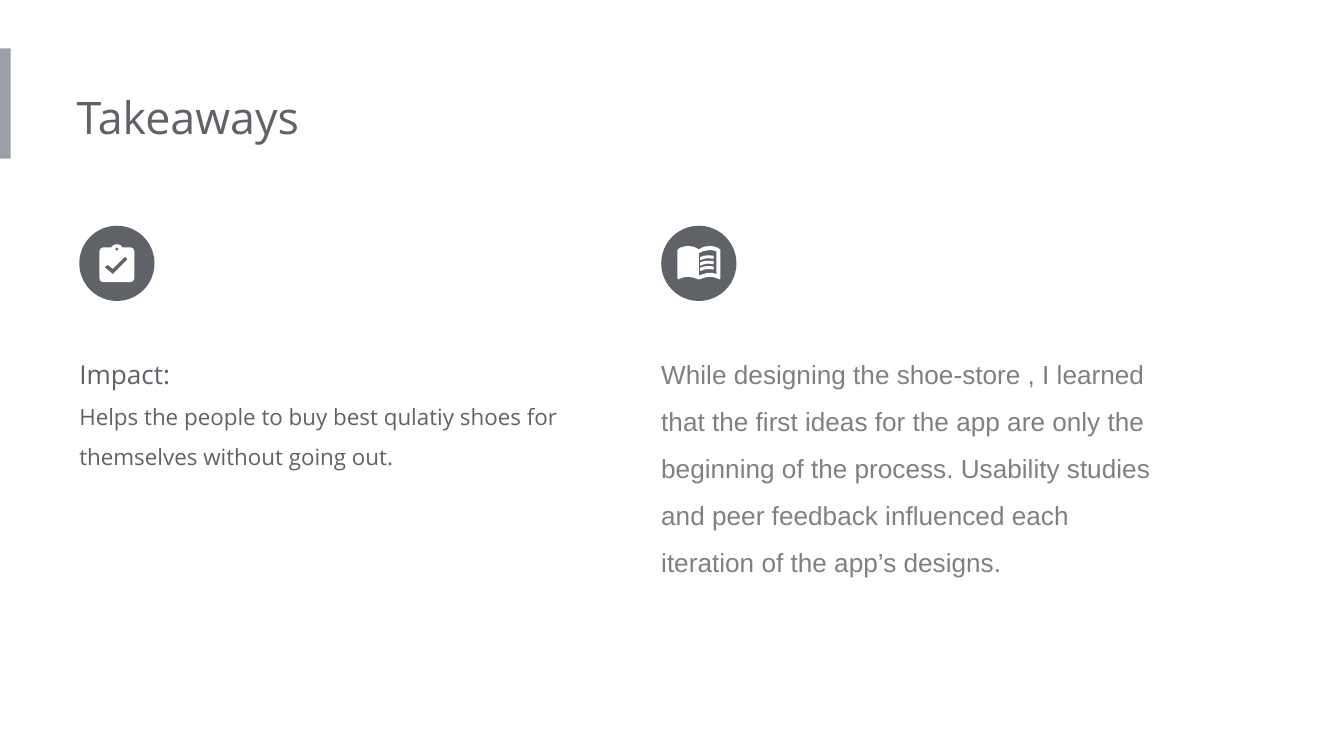
from dataclasses import dataclass

from pptx import Presentation
from pptx.dml.color import RGBColor
from pptx.enum.shapes import MSO_SHAPE
from pptx.enum.text import MSO_ANCHOR, MSO_AUTO_SIZE, PP_ALIGN
from pptx.shapes.autoshape import Shape
from pptx.slide import Slide
from pptx.text.text import TextFrame
from pptx.util import Inches, Pt

WHITE = RGBColor(0xFF, 0xFF, 0xFF)
SLATE = RGBColor(0x5F, 0x63, 0x68)
GRAY = RGBColor(0x80, 0x80, 0x80)
SILVER = RGBColor(0x9A, 0xA0, 0xA6)

SLIDE_WIDTH = 10
SLIDE_HEIGHT = SLIDE_WIDTH * 9 / 16
BADGE_TOP, BADGE_SIZE = 1.68, 0.56
BODY_TOP, BODY_WIDTH = 2.45, 3.77

Contour = list[tuple[float, float]]


@dataclass(frozen=True)
class Line:
    text: str
    size: int
    font: str
    color: RGBColor
    spacing: float = 1.5


@dataclass(frozen=True)
class Takeaway:
    left: float
    height: float
    lines: list[Line]
    icon: list[list[Contour]]


CLIPBOARD: list[Contour] = [
    [(38, 16), (32, 16), (31, 14.7), (29.6, 14), (28, 13.7), (26.4, 14),
     (25, 14.7), (24, 16), (18, 16), (16, 16.8), (15, 18.7), (15, 39.3),
     (16, 41.3), (18, 42), (38, 42), (40, 41.3), (41, 39.3), (41, 18.7),
     (40, 16.8)],
    [(28, 16), (29.4, 17.4), (28, 18.7), (26.6, 17.4)],
    [(25, 36), (19, 31), (21, 29), (25, 32), (34, 23), (36, 25)],
]
BOOK: list[Contour] = [
    [(12, 18), (14, 16.4), (17, 15.4), (20, 15), (24, 15.6), (26, 16.4),
     (28, 17.6), (30, 16.4), (32, 15.6), (36, 15), (39, 15.4), (42, 16.4),
     (44, 17.8), (44, 39), (43.4, 39.9), (42, 39.3), (39, 38.3), (36, 38),
     (32, 38.6), (28, 40), (24, 38.6), (20, 38), (17, 38.3), (14, 39.4),
     (12.7, 39.9), (12, 39)],
    [(28, 20.5), (31, 19), (36, 18), (39, 18.4), (41, 19), (41, 36),
     (38, 35), (35, 35), (31, 36), (28, 37)],
]
PAGE_LINES: list[list[Contour]] = [
    [[(29, y + 1.3), (32, y + 0.3), (35, y), (39, y + 0.3), (39, y + 2.6),
      (35, y + 2.2), (32, y + 2.6), (29, y + 3.7)]]
    for y in (22, 26, 30)
]

TAKEAWAYS = [
    Takeaway(0.59, 1.16, [
        Line("Impact:", 14, "Open Sans", SLATE),
        Line("Helps the people to buy best qulatiy shoes for themselves "
             "without going out.", 12, "Open Sans", SLATE),
    ], [CLIPBOARD]),
    Takeaway(4.92, 1.97, [
        Line("While designing the shoe-store , I learned that the first ideas "
             "for the app are only the beginning of the process. Usability "
             "studies and peer feedback influenced each iteration of the "
             "app’s designs.", 14, "Arial", GRAY),
    ], [BOOK, *PAGE_LINES]),
]


def paint(shape: Shape, color: RGBColor) -> None:
    shape.shadow.inherit = False
    shape.fill.solid()
    shape.fill.fore_color.rgb = color
    shape.line.fill.background()


def add_filled(slide: Slide, preset: MSO_SHAPE, left: float, top: float,
               width: float, height: float, color: RGBColor) -> None:
    paint(slide.shapes.add_shape(preset, Inches(left), Inches(top),
                                 Inches(width), Inches(height)), color)


def add_glyph(slide: Slide, left: float, top: float,
              contours: list[Contour]) -> None:
    placed = [[(Inches(left + x / 100), Inches(top + y / 100))
               for x, y in contour] for contour in contours]
    outline, *holes = placed
    builder = slide.shapes.build_freeform(*outline[0])
    builder.add_line_segments(outline[1:], close=True)
    for hole in holes:
        builder.move_to(*hole[0])
        builder.add_line_segments(hole[1:], close=True)
    paint(builder.convert_to_shape(), WHITE)


def write(frame: TextFrame, lines: list[Line]) -> None:
    frame.word_wrap = True
    frame.auto_size = MSO_AUTO_SIZE.SHAPE_TO_FIT_TEXT
    frame.vertical_anchor = MSO_ANCHOR.TOP
    frame.margin_left = 0
    frame.margin_top = frame.margin_right = frame.margin_bottom = Inches(0.1)
    for index, line in enumerate(lines):
        paragraph = frame.add_paragraph() if index else frame.paragraphs[0]
        paragraph.alignment = PP_ALIGN.LEFT
        paragraph.line_spacing = line.spacing
        run = paragraph.add_run()
        run.text = line.text
        run.font.size = Pt(line.size)
        run.font.name = line.font
        run.font.color.rgb = line.color


def add_takeaway(slide: Slide, takeaway: Takeaway) -> None:
    body = slide.shapes.add_textbox(Inches(takeaway.left), Inches(BODY_TOP),
                                    Inches(BODY_WIDTH), Inches(takeaway.height))
    write(body.text_frame, takeaway.lines)
    add_filled(slide, MSO_SHAPE.OVAL, takeaway.left, BADGE_TOP,
               BADGE_SIZE, BADGE_SIZE, SLATE)
    for glyph in takeaway.icon:
        add_glyph(slide, takeaway.left, BADGE_TOP, glyph)


def main() -> None:
    presentation = Presentation()
    presentation.slide_width = Inches(SLIDE_WIDTH)
    presentation.slide_height = Inches(SLIDE_HEIGHT)
    slide = presentation.slides.add_slide(presentation.slide_layouts[5])

    title = slide.shapes.title
    title.left, title.top = Inches(0.57), Inches(0.57)
    title.width, title.height = Inches(5.39), Inches(0.61)
    write(title.text_frame, [Line("Takeaways", 24, "Open Sans", SLATE, 1.0)])

    add_filled(slide, MSO_SHAPE.RECTANGLE, 0, 0.36, 0.08, 0.82, SILVER)
    for takeaway in TAKEAWAYS:
        add_takeaway(slide, takeaway)

    presentation.save("out.pptx")


if __name__ == "__main__":
    main()
